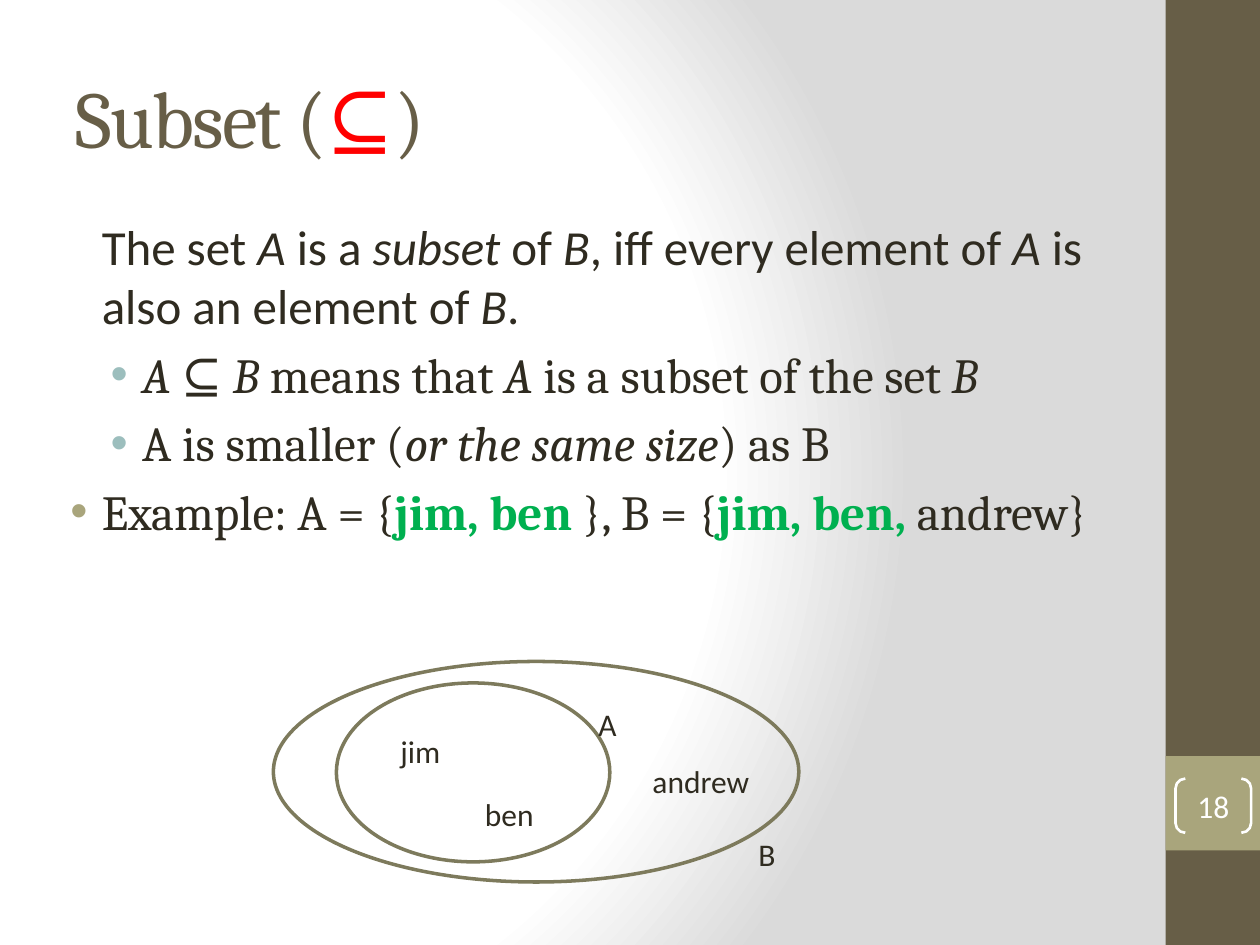
from typing import NamedTuple

from pptx import Presentation
from pptx.dml.color import RGBColor
from pptx.enum.shapes import MSO_SHAPE
from pptx.enum.text import MSO_ANCHOR, MSO_AUTO_SIZE, PP_ALIGN
from pptx.oxml import parse_xml
from pptx.oxml.ns import qn
from pptx.util import Inches, Pt

RECT, OVAL, PAIR = MSO_SHAPE.RECTANGLE, MSO_SHAPE.OVAL, MSO_SHAPE.DOUBLE_BRACKET
MIDDLE, CENTER = MSO_ANCHOR.MIDDLE, PP_ALIGN.CENTER
GROW = MSO_AUTO_SIZE.SHAPE_TO_FIT_TEXT
SANS, SERIF = "Calibri", "Cambria"
INK, BROWN, SAND, OLIVE = "2F2B20", "675E47", "A9A57C", "7D7A5C"
TEAL, RED, GREEN, WHITE = "9CBEBD", "FF0000", "00B050", "FFFFFF"
NS = "http://schemas.openxmlformats.org/drawingml/2006/main"


class Box(NamedTuple):
    left: float
    top: float
    width: float
    height: float


class Run(NamedTuple):
    text: str
    italic: bool = False
    color: str = ""
    bold: bool = False


class Para(NamedTuple):
    runs: list[Run]
    font: str
    margin: float
    bullet: str = ""
    level: int = 0


class Label(NamedTuple):
    text: str
    box: Box


def paint(part, color: str) -> None:
    """Give a fill a solid colour."""
    part.solid()
    part.fore_color.rgb = RGBColor.from_string(color)


def style(para, font: str, size: float, color: str) -> None:
    para.font.name, para.font.size = font, Pt(size)
    para.font.color.rgb = RGBColor.from_string(color)


def add_runs(para, runs: list[Run]) -> None:
    for item in runs:
        run = para.add_run()
        run.text = item.text
        if item.italic:
            run.font.italic = True
        if item.bold:
            run.font.bold = True
        if item.color:
            run.font.color.rgb = RGBColor.from_string(item.color)


def add_shape(slide, kind, box: Box, fill: str = "", line: str = "", width: float = 0):
    shape = slide.shapes.add_shape(kind, *map(Inches, box))
    shape.shadow.inherit = False
    if fill:
        paint(shape.fill, fill)
    else:
        shape.fill.background()
    if line:
        paint(shape.line.fill, line)
        shape.line.width = Pt(width)
    else:
        shape.line.fill.background()
    return shape


def add_text(slide, box: Box, wrap: bool = True):
    frame = slide.shapes.add_textbox(*map(Inches, box)).text_frame
    frame.word_wrap = wrap
    return frame


def add_label(slide, label: Label) -> None:
    frame = add_text(slide, label.box, wrap=False)
    frame.auto_size = GROW
    para = frame.paragraphs[0]
    add_runs(para, [Run(label.text)])
    style(para, SANS, 18, INK)


def indent(para, item: Para) -> None:
    """Set the left margin, and hang a bullet where there is one."""
    props = para._p.get_or_add_pPr()
    props.set("marL", str(Inches(item.margin)))
    props.set("indent", str(Inches(-0.25) if item.bullet else 0))
    if item.bullet:
        for xml in (
            f'<a:buClr xmlns:a="{NS}"><a:srgbClr val="{item.bullet}"/></a:buClr>',
            f'<a:buFont xmlns:a="{NS}" typeface="Arial"/>',
            f'<a:buChar xmlns:a="{NS}" char="•"/>',
        ):
            props.append(parse_xml(xml))


def set_back(slide) -> None:
    """Radial gradient from white to light grey."""
    stops = "".join(
        f'<a:gs pos="{pos * 1000}"><a:srgbClr val="{color}"/></a:gs>'
        for pos, color in ((0, WHITE), (75, WHITE), (100, "DADADA"))
    )
    slide.background.fill.solid()
    props = slide.background._cSld.find(qn("p:bg")).find(qn("p:bgPr"))
    props.replace(props[0], parse_xml(
        f'<a:gradFill xmlns:a="{NS}" rotWithShape="1"><a:gsLst>{stops}</a:gsLst>'
        '<a:path path="circle"><a:fillToRect l="20000" t="50000" r="100000" b="50000"/>'
        "</a:path></a:gradFill>"
    ))


BODY = [
    Para([Run("The set "), Run("A", True), Run(" is a "), Run("subset", True),
          Run(" of "), Run("B", True), Run(", iff every element of "), Run("A", True),
          Run(" is also an element of "), Run("B", True), Run(".")], SANS, 0.38),
    Para([Run("A", True), Run(" ⊆ "), Run("B ", True), Run("means that "),
          Run("A", True), Run(" is a subset of the set "), Run("B", True)],
         SERIF, 0.7, TEAL, 1),
    Para([Run("A is smaller ("), Run("or the same size", True), Run(") as B")],
         SERIF, 0.7, TEAL, 1),
    Para([Run("Example: A = {"), Run("jim, ben ", color=GREEN, bold=True),
          Run("}, B = {"), Run("jim, ben, ", color=GREEN, bold=True),
          Run("andrew}")], SERIF, 0.38, SAND),
]
SETS = [Box(2.17, 5.25, 4.17, 1.75), Box(2.67, 5.42, 2.17, 1.42)]
LABELS = [
    Label("jim", Box(3.08, 5.76, 0.56, 0.4)),
    Label("ben", Box(3.75, 6.26, 0.61, 0.4)),
    Label("andrew", Box(5.08, 6, 1.01, 0.4)),
    Label("A", Box(4.65, 5.55, 0.37, 0.4)),
    Label("B", Box(5.92, 6.58, 0.35, 0.4)),
]


def main() -> None:
    deck = Presentation()
    deck.slide_width, deck.slide_height = Inches(10), Inches(7.5)
    slide = deck.slides.add_slide(deck.slide_layouts[6])
    set_back(slide)

    # Side band
    add_shape(slide, RECT, Box(9.25, 0, 0.75, 7.5), BROWN)
    add_shape(slide, RECT, Box(9.25, 6, 0.75, 0.75), SAND)

    # Title
    frame = add_text(slide, Box(0.5, 0.3, 8.33, 1.25))
    frame.vertical_anchor = MIDDLE
    para = frame.paragraphs[0]
    add_runs(para, [Run("Subset ("), Run("⊆", color=RED), Run(")")])
    style(para, SERIF, 46, BROWN)
    for run in para.runs:
        run.font._element.set("spc", "-100")

    # Body
    frame = add_text(slide, Box(0.33, 1.67, 9, 2.75))
    for i, item in enumerate(BODY):
        para = frame.add_paragraph() if i else frame.paragraphs[0]
        para.level = item.level
        if i:
            para.space_before = Pt(5.6)
        indent(para, item)
        add_runs(para, item.runs)
        style(para, item.font, 28, INK)

    # Page number
    pair = add_shape(slide, PAIR, Box(9.33, 6.18, 0.6, 0.43), line=WHITE, width=1.5)
    pair.adjustments[0] = 0.18
    frame = pair.text_frame
    frame.margin_left = frame.margin_right = frame.margin_top = frame.margin_bottom = 0
    frame.vertical_anchor = MIDDLE
    para = frame.paragraphs[0]
    para.alignment = CENTER
    add_runs(para, [Run("18")])
    style(para, SANS, 18, WHITE)

    # Set diagram
    for box in SETS:
        add_shape(slide, OVAL, box, line=OLIVE, width=2)
    for label in LABELS:
        add_label(slide, label)

    deck.save("out.pptx")


if __name__ == "__main__":
    main()
